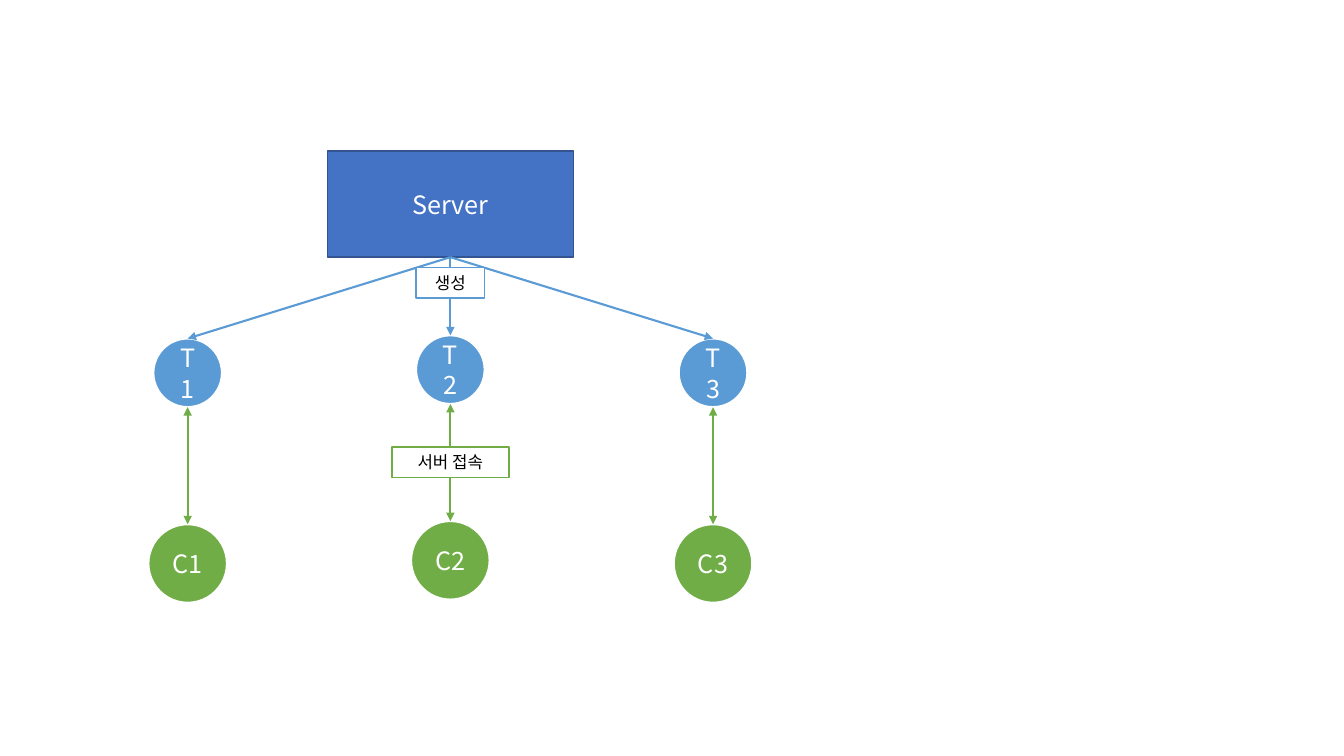
from dataclasses import dataclass

from lxml.etree import SubElement
from pptx import Presentation
from pptx.dml.color import RGBColor as RGB
from pptx.enum.shapes import MSO_CONNECTOR as CONNECTOR, MSO_SHAPE as SHAPE
from pptx.enum.text import MSO_ANCHOR as ANCHOR, PP_ALIGN as ALIGN
from pptx.oxml.ns import qn
from pptx.util import Cm, Pt


@dataclass(frozen=True)
class Theme:
    font: str = "Noto Sans CJK KR"
    server: str = "4472C4"
    server_edge: str = "325491"
    thread: str = "5B9BD5"
    client: str = "70AD47"
    white: str = "FFFFFF"
    black: str = "000000"
    body: int = 18
    label: int = 12


T = Theme()

# Layout in centimetres
MIDDLE, STEP = 11.35, 6.62
SERVER_TOP, SERVER_W, SERVER_H = 3.81, 6.2, 2.67
SERVER_BOTTOM = SERVER_TOP + SERVER_H
THREAD_TOP, THREAD_D = 8.53, 1.73
CLIENT_TOP, CLIENT_D = 13.21, 1.98
MIDDLE_LIFT = 0.08
LABEL_H = 0.77


def add_node(s, kind, text, x, top, w, h, fill, edge, edge_pt,
             color=T.white, size=T.body):
    """Add a filled shape centred on x with one line of text."""
    sp = s.shapes.add_shape(kind, Cm(x - w / 2), Cm(top), Cm(w), Cm(h))
    sp.shadow.inherit = False
    sp.fill.solid()
    sp.fill.fore_color.rgb = RGB.from_string(fill)
    sp.line.color.rgb = RGB.from_string(edge)
    sp.line.width = Pt(edge_pt)
    tf = sp.text_frame
    tf.word_wrap = True
    tf.vertical_anchor = ANCHOR.MIDDLE
    p = tf.paragraphs[0]
    r = p.add_run()
    r.text = text
    p.alignment = ALIGN.CENTER
    p.font.size = Pt(size)
    p.font.color.rgb = RGB.from_string(color)
    p.font.name = T.font
    # East Asian typeface for the Korean text
    SubElement(r.font._element, qn("a:ea"), typeface=T.font)


def add_circle(s, text, x, top, d, fill):
    add_node(s, SHAPE.OVAL, text, x, top, d, d, fill, T.white, 1.5)


def add_label(s, text, top, w, edge):
    add_node(s, SHAPE.RECTANGLE, text, MIDDLE, top, w, LABEL_H,
             T.white, edge, 1, T.black, T.label)


def add_arrow(s, x1, y1, x2, y2, color, both=False):
    c = s.shapes.add_connector(CONNECTOR.STRAIGHT, Cm(x1), Cm(y1), Cm(x2), Cm(y2))
    c.line.color.rgb = RGB.from_string(color)
    c.line.width = Pt(1.5)
    ln = c.line._get_or_add_ln()
    for end in ("a:headEnd", "a:tailEnd") if both else ("a:tailEnd",):
        SubElement(ln, qn(end), type="triangle")
    SubElement(c._element.spPr, qn("a:effectLst"))


def main():
    prs = Presentation()
    prs.slide_width, prs.slide_height = Cm(33.87), Cm(19.05)
    s = prs.slides.add_slide(prs.slide_layouts[6])

    # Server
    add_node(s, SHAPE.RECTANGLE, "Server", MIDDLE, SERVER_TOP, SERVER_W, SERVER_H,
             T.server, T.server_edge, 1)

    # Threads and their clients, the middle pair slightly higher
    for i in (1, 2, 3):
        x = MIDDLE + (i - 2) * STEP
        lift = MIDDLE_LIFT if i == 2 else 0
        thread_top, client_top = THREAD_TOP - lift, CLIENT_TOP - lift
        add_circle(s, f"T{i}", x, thread_top, THREAD_D, T.thread)
        add_circle(s, f"C{i}", x, client_top, CLIENT_D, T.client)
        add_arrow(s, MIDDLE, SERVER_BOTTOM, x, thread_top, T.thread)
        add_arrow(s, x, thread_top + THREAD_D, x, client_top, T.client, both=True)

    # Labels over the middle arrows
    add_label(s, "생성", 6.74, 1.73, T.thread)
    add_label(s, "서버 접속", 11.26, 2.95, T.client)

    prs.save("out.pptx")


if __name__ == "__main__":
    main()
